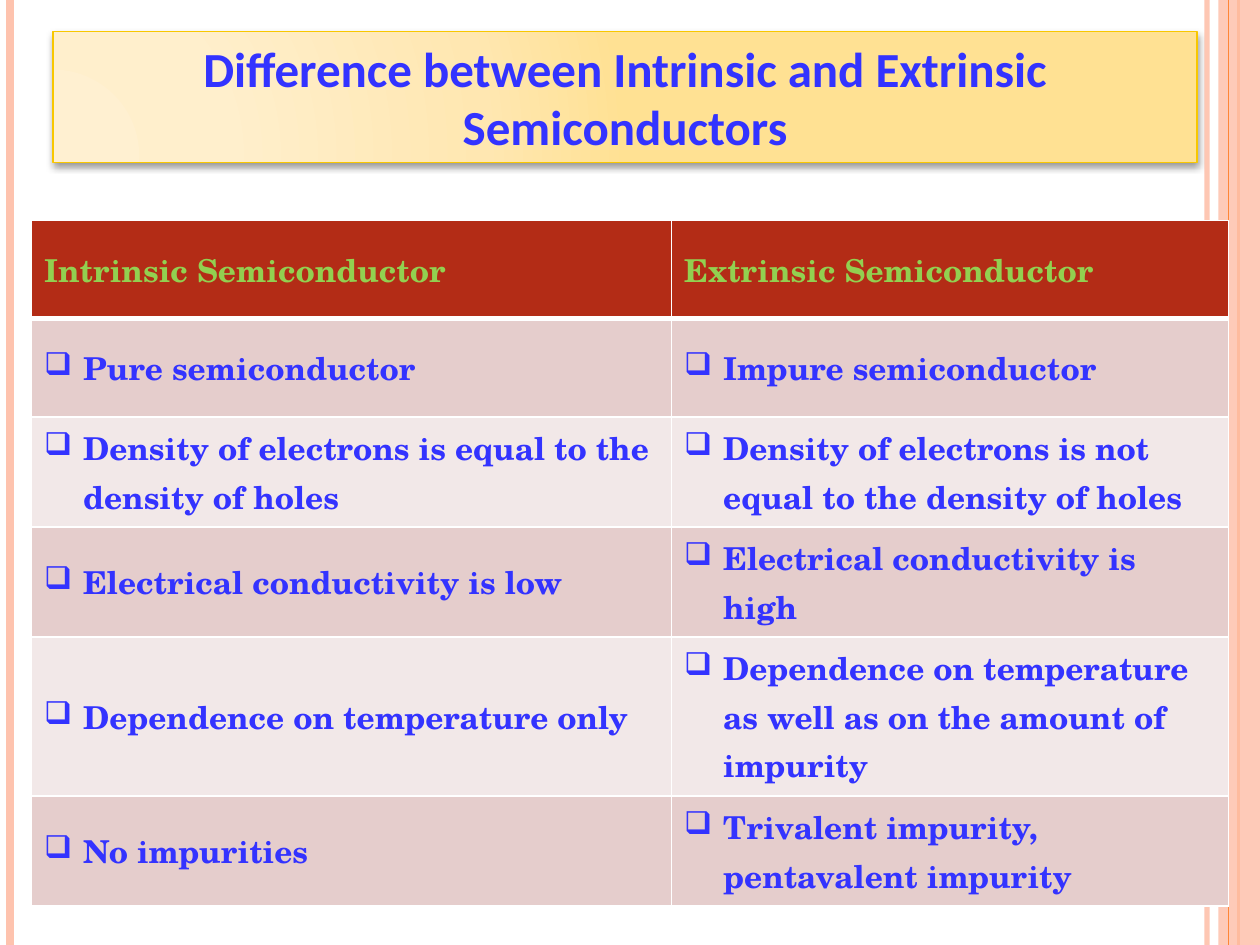
from pptx import Presentation
from pptx.dml.color import RGBColor
from pptx.enum.shapes import MSO_CONNECTOR, MSO_SHAPE
from pptx.enum.text import MSO_ANCHOR, PP_ALIGN
from pptx.oxml import parse_xml
from pptx.oxml.ns import nsdecls, qn
from pptx.util import Inches, Pt
from lxml import etree

LINE, RECT = MSO_CONNECTOR.STRAIGHT, MSO_SHAPE.RECTANGLE
MID, CENTER = MSO_ANCHOR.MIDDLE, PP_ALIGN.CENTER

TITLE = "Difference between Intrinsic and Extrinsic Semiconductors"
ROWS = [
    ("Intrinsic Semiconductor", "Extrinsic Semiconductor"),
    ("Pure semiconductor", "Impure semiconductor"),
    ("Density of electrons is equal to the density of holes",
     "Density of electrons is not equal to the density of holes"),
    ("Electrical conductivity is low", "Electrical conductivity is high"),
    ("Dependence on temperature only",
     "Dependence on temperature as well as on the amount of impurity"),
    ("No impurities", "Trivalent impurity, pentavalent impurity"),
]
COLS = (5.08, 4.42)
ROW = 0.78
WIDE, HIGH = 10, 7.5
INDENT = Inches(0.31)
HEX = {
    "peach": "FEC3AE", "orange": "FE8637", "blue": "3333FF",
    "green": "92D050", "head": "B32C16", "odd": "E5CDCC",
    "even": "F2E8E8", "gold": "F8C700", "white": "FFFFFF",
}
STOPS = ((0, "FFF0D1"), (30, "FFEFCC"), (75, "FFE7B1"), (100, "FFE193"))
RULES = [(9.58, "peach", 3, 93), (0.08, "peach", 4.5, 100),
         (9.83, "orange", 1.5, 100)]
EDGE = (9.75, "orange", 0.75, 100)


def rgb(name):
    return RGBColor.from_string(HEX[name])


def fade(props, share):
    color = next(props.iter(qn("a:srgbClr")))
    etree.SubElement(color, qn("a:alpha"), val=str(share * 1000))


def rule(shapes, x, color, width, share):
    line = shapes.add_connector(LINE, Inches(x), 0, Inches(x), Inches(HIGH))
    line.line.color.rgb = rgb(color)
    line.line.width = Pt(width)
    props = line._element.spPr
    if share < 100:
        fade(props, share)
    etree.SubElement(props, qn("a:effectLst"))


def style(para, face, size, color):
    font = para.font
    font.name, font.size, font.bold = face, Pt(size), True
    font.color.rgb = rgb(color)


def bullet(para):
    props = para._p.get_or_add_pPr()
    props.set("marL", str(INDENT))
    props.set("indent", str(-INDENT))
    etree.SubElement(props, qn("a:buChar"), char="❑")


def border(cell, foot):
    props = cell._tc.get_or_add_tcPr()
    for i, side in enumerate("LRTB"):
        width = Pt(foot if side == "B" else 1)
        props.insert(i, parse_xml(
            f'<a:ln{side} {nsdecls("a")} w="{width}"><a:solidFill>'
            f'<a:srgbClr val="{HEX["white"]}"/></a:solidFill></a:ln{side}>'))


def band(shapes):
    bar = shapes.add_shape(RECT, Inches(9.67), 0, Inches(WIDE - 9.67), Inches(HIGH))
    bar.shadow.inherit = False
    bar.fill.solid()
    bar.fill.fore_color.rgb = rgb("peach")
    fade(bar._element.spPr, 87)
    bar.line.fill.background()


def grid(shapes):
    table = shapes.add_table(
        len(ROWS), len(COLS), Inches(0.25), Inches(1.75),
        Inches(sum(COLS)), Inches(ROW * len(ROWS))).table
    for col, width in zip(table.columns, COLS):
        col.width = Inches(width)
    for r, texts in enumerate(ROWS):
        table.rows[r].height = Inches(ROW)
        for c, text in enumerate(texts):
            cell = table.cell(r, c)
            cell.text = text
            cell.vertical_anchor = MID
            cell.fill.solid()
            shade = "head" if r == 0 else "odd" if r % 2 else "even"
            cell.fill.fore_color.rgb = rgb(shade)
            border(cell, 1 if r else 3)
            para = cell.text_frame.paragraphs[0]
            if r:
                bullet(para)
            style(para, "TeX Gyre Schola", 18, "blue" if r else "green")


def banner(shapes):
    box = shapes.add_shape(RECT, Inches(0.42), Inches(0.25), Inches(9.08), Inches(1.04))
    box.line.color.rgb = rgb("gold")
    box.line.width = Pt(1)
    box.shadow.inherit = False
    props = box._element.spPr
    stops = "".join(f'<a:gs pos="{pos * 1000}"><a:srgbClr val="{color}"/></a:gs>'
                    for pos, color in STOPS)
    props.insert(2, parse_xml(
        f'<a:gradFill {nsdecls("a")} rotWithShape="1"><a:gsLst>{stops}</a:gsLst>'
        '<a:path path="circle"><a:fillToRect l="5000" t="100000" r="120000" '
        'b="10000"/></a:path></a:gradFill>'))
    props.find(qn("a:effectLst")).append(parse_xml(
        f'<a:outerShdw {nsdecls("a")} blurRad="{Pt(4)}" dist="{Pt(2)}" '
        'dir="5400000" rotWithShape="0"><a:srgbClr val="000000">'
        '<a:alpha val="40000"/></a:srgbClr></a:outerShdw>'))
    frame = box.text_frame
    frame.word_wrap = True
    frame.vertical_anchor = MID
    frame.text = TITLE
    para = frame.paragraphs[0]
    para.alignment = CENTER
    style(para, "Calibri", 28, "blue")


def main():
    deck = Presentation()
    deck.slide_width, deck.slide_height = Inches(WIDE), Inches(HIGH)
    shapes = deck.slides.add_slide(deck.slide_layouts[6]).shapes
    for item in RULES:
        rule(shapes, *item)
    band(shapes)
    rule(shapes, *EDGE)
    grid(shapes)
    banner(shapes)
    deck.save("out.pptx")


if __name__ == "__main__":
    main()
